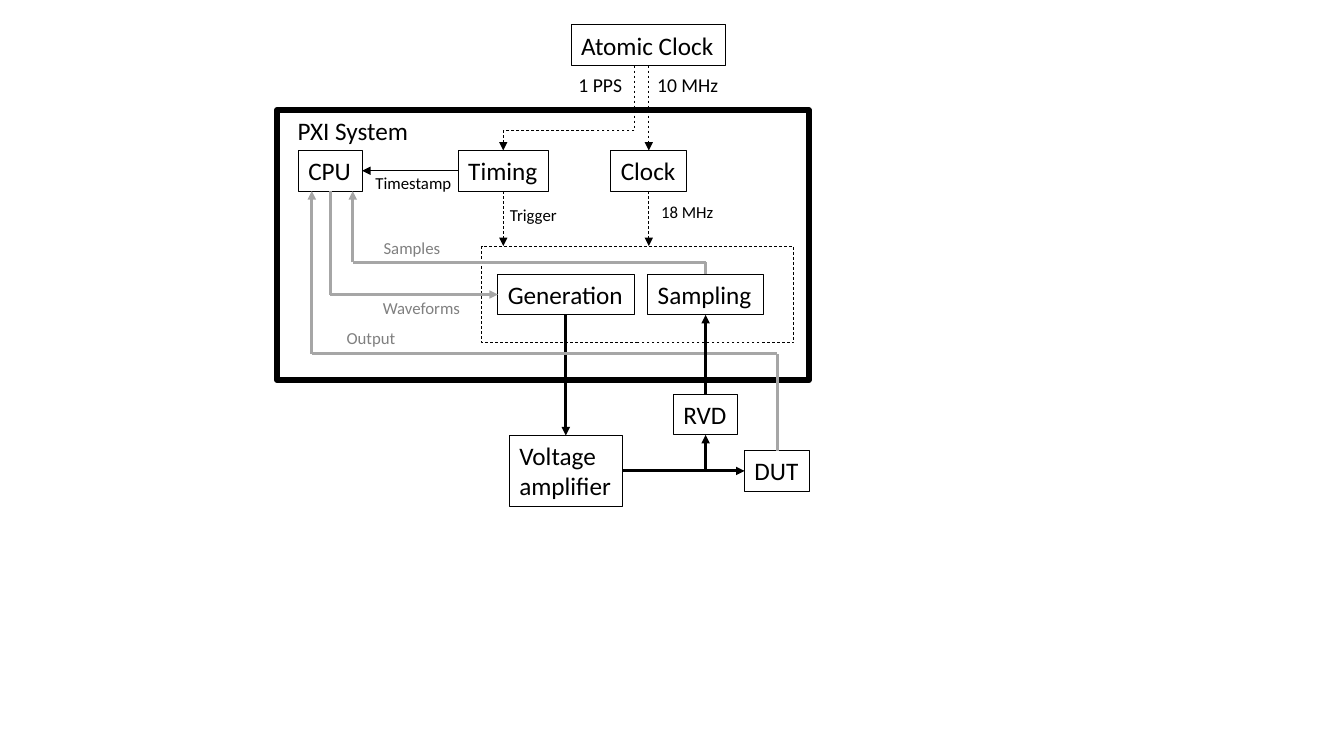
from dataclasses import dataclass
from itertools import pairwise

from lxml.etree import SubElement
from pptx import Presentation
from pptx.dml.color import RGBColor
from pptx.enum.dml import MSO_LINE as Dash
from pptx.enum.shapes import MSO_CONNECTOR as Connector, MSO_SHAPE as Preset
from pptx.enum.text import MSO_ANCHOR as Anchor, MSO_AUTO_SIZE as AutoSize, PP_ALIGN as Align
from pptx.oxml.ns import qn
from pptx.util import Inches, Pt


# Colours, type sizes and line widths
@dataclass(frozen=True)
class Theme:
    font: str = "Calibri"
    ink: str = "000000"
    data: str = "A6A6A6"
    data_text: str = "808080"
    block: int = 18
    clock: int = 14
    small: int = 12


@dataclass(frozen=True)
class Stroke:
    color: str
    width: float
    dash: Dash | None = None


theme = Theme()
OUTLINE = Stroke(theme.ink, 0.75)
FRAME = Stroke(theme.ink, 4)
TIMING_LINE = Stroke(theme.ink, 0.5, Dash.DASH)
STAMP_LINE = Stroke(theme.ink, 0.5)
DATA_LINE = Stroke(theme.data, 2)
POWER_LINE = Stroke(theme.ink, 2)


# Parts of the diagram, on a grid of 100 columns by 100 rows
@dataclass(frozen=True)
class Block:
    text: str
    left: float
    top: float
    width: float
    height: float = 5.38
    stroke: Stroke = OUTLINE

    @property
    def right(self) -> float:
        return self.left + self.width

    @property
    def bottom(self) -> float:
        return self.top + self.height

    @property
    def center(self) -> float:
        return self.left + self.width / 2

    @property
    def middle(self) -> float:
        return self.top + self.height / 2


@dataclass(frozen=True)
class Label:
    text: str
    left: float
    top: float
    width: float
    size: int = theme.small
    color: str = theme.ink


@dataclass(frozen=True)
class Route:
    stroke: Stroke
    points: list[tuple[float, float]]
    arrow: bool = True


deck = Presentation()
deck.slide_width, deck.slide_height = Inches(13.33), Inches(7.5)
page = deck.slides.add_slide(deck.slide_layouts[6])


def col(count: float) -> int:
    return round(deck.slide_width * count / 100)


def row(count: float) -> int:
    return round(deck.slide_height * count / 100)


def apply(target, values: dict) -> None:
    for name, value in values.items():
        setattr(target, name, value)


def style_line(line, stroke: Stroke) -> None:
    line.color.rgb = RGBColor.from_string(stroke.color)
    apply(line, {"width": Pt(stroke.width), "dash_style": stroke.dash})


def write(box, text: str, size: int, color: str) -> None:
    frame = box.text_frame
    apply(frame, {"text": text, "word_wrap": False, "vertical_anchor": Anchor.TOP,
                  "auto_size": AutoSize.SHAPE_TO_FIT_TEXT})
    for para in frame.paragraphs:
        para.alignment = Align.LEFT
        for span in para.runs:
            apply(span.font, {"name": theme.font, "size": Pt(size)})
            span.font.color.rgb = RGBColor.from_string(color)


def draw_block(block: Block) -> None:
    box = page.shapes.add_shape(Preset.RECTANGLE, col(block.left), row(block.top),
                                col(block.width), row(block.height))
    box.shadow.inherit = False
    box.fill.background()
    style_line(box.line, block.stroke)
    if block.text:
        write(box, block.text, theme.block, theme.ink)


def draw_label(label: Label) -> None:
    height = Pt(label.size * 1.22) + Inches(0.1)
    box = page.shapes.add_textbox(col(label.left), row(label.top), col(label.width), height)
    write(box, label.text, label.size, label.color)


def draw_route(route: Route) -> None:
    legs = list(pairwise(route.points))
    for number, ((x1, y1), (x2, y2)) in enumerate(legs, 1):
        leg = page.shapes.add_connector(Connector.STRAIGHT, col(x1), row(y1), col(x2), row(y2))
        style_line(leg.line, route.stroke)
        if route.arrow and number == len(legs):
            SubElement(leg.line._get_or_add_ln(), qn("a:tailEnd"), type="triangle")
        SubElement(leg._element.spPr, qn("a:effectLst"))


# Blocks
generation = Block("Generation", 37.05, 36.27, 10.2)
sampling = Block("Sampling", 48.2, 36.27, 8.6)
clock = Block("Clock", 45.45, 19.9, 5.65)
atomic = Block("Atomic Clock", 42.5, 3.3, 11.5)
timing = Block("Timing", 34.1, 19.9, 6.7)
cpu = Block("CPU", 22.2, 19.9, 4.75)
dut = Block("DUT", 55.4, 59.6, 4.8)
amplifier = Block("Voltage\namplifier", 37.9, 57.6, 8.4, 9.45)
rvd = Block("RVD", 50.1, 52.15, 4.8)
system = Block("", 20.6, 14.55, 39.6, 35.75, FRAME)
converters = Block("", 35.85, 32.55, 23.2, 12.8, TIMING_LINE)
blocks = [generation, sampling, clock, atomic, timing, system, converters,
          cpu, dut, amplifier, rvd]

# Signal names
labels = [
    Label("PXI System", 21.4, 14.55, 9.8, theme.block),
    Label("1 PPS", 42.3, 9.05, 4.8, theme.clock),
    Label("10 MHz", 48.15, 8.95, 6.1, theme.clock),
    Label("18 MHz", 48.45, 26, 5.5),
    Label("Trigger", 37.2, 26.4, 5),
    Label("Timestamp", 27.2, 22.15, 7.2),
    Label("Samples", 27.8, 30.8, 5.8, color=theme.data_text),
    Label("Waveforms", 27.75, 38.7, 7.35, color=theme.data_text),
    Label("Output", 25.05, 42.65, 5.2, color=theme.data_text),
]

# Signal paths, from sender to receiver
PULSE_X, PULSE_Y = 47.2, 17.2
SAMPLES_X, SAMPLES_Y = 26.25, 34.7
OUTPUT_X, OUTPUT_Y, DUT_X = 23.2, 46.8, 57.85
routes = [
    Route(TIMING_LINE, [(clock.center, atomic.bottom), (clock.center, clock.top)]),
    Route(TIMING_LINE, [(PULSE_X, atomic.bottom), (PULSE_X, PULSE_Y),
                        (timing.center, PULSE_Y), (timing.center, timing.top)]),
    *(Route(TIMING_LINE, [(part.center, part.bottom), (part.center, converters.top)])
      for part in (timing, clock)),
    Route(STAMP_LINE, [(timing.left, timing.middle), (cpu.right, cpu.middle)]),
    Route(DATA_LINE, [(cpu.center, cpu.bottom), (cpu.center, generation.middle),
                      (generation.left, generation.middle)]),
    Route(DATA_LINE, [(sampling.center, sampling.top), (sampling.center, SAMPLES_Y),
                      (SAMPLES_X, SAMPLES_Y), (SAMPLES_X, cpu.bottom)]),
    Route(POWER_LINE, [(amplifier.center, generation.bottom),
                       (amplifier.center, amplifier.top)]),
    Route(DATA_LINE, [(DUT_X, dut.top), (DUT_X, OUTPUT_Y),
                      (OUTPUT_X, OUTPUT_Y), (OUTPUT_X, cpu.bottom)]),
    Route(POWER_LINE, [(amplifier.right, dut.middle), (dut.left, dut.middle)]),
    Route(POWER_LINE, [(rvd.center, dut.middle), (rvd.center, rvd.bottom)]),
    Route(POWER_LINE, [(rvd.center, rvd.top), (rvd.center, sampling.bottom)]),
]

for block in blocks:
    draw_block(block)
for route in routes:
    draw_route(route)
for label in labels:
    draw_label(label)

deck.save("out.pptx")
